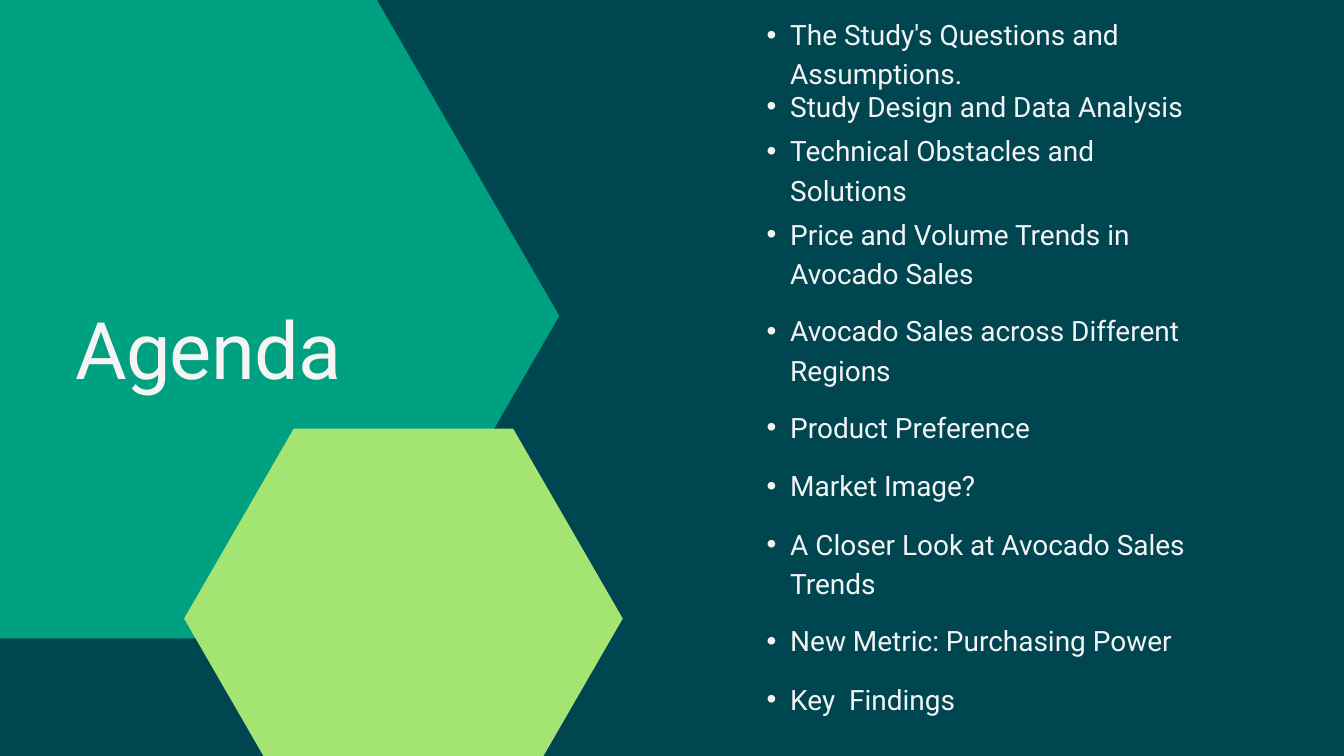
import math

import pptx
import pptx.dml.color
import pptx.enum.text
import pptx.oxml
import pptx.oxml.ns
import pptx.util

Cm = pptx.util.Cm
Pt = pptx.util.Pt
RGBColor = pptx.dml.color.RGBColor

NIGHT = RGBColor(0x00, 0x46, 0x51)
TEAL = RGBColor(0x00, 0xA1, 0x81)
LIME = RGBColor(0xA4, 0xE4, 0x73)
WHITE = RGBColor(0xF4, 0xF4, 0xF4)

# Content: centre x, centre y, radius (cm), colour
HEXAGONS = [
    (7.06, 11.94, 14.08, TEAL),
    (15.25, 23.38, 8.29, LIME),
]
TITLE = "Agenda"
# Text, number of lines, gap above (cm)
TOPICS = [
    ("The Study's Questions and Assumptions.", 2, 0.46),
    ("Study Design and Data Analysis", 1, -0.13),
    ("Technical Obstacles and Solutions", 2, 0.28),
    ("Price and Volume Trends in Avocado Sales", 2, 0.31),
    ("Avocado Sales across Different Regions", 2, 0.81),
    ("Product Preference", 1, 0.81),
    ("Market Image?", 1, 0.81),
    ("A Closer Look at Avocado Sales Trends", 2, 0.81),
    ("New Metric: Purchasing Power", 1, 0.81),
    ("Key  Findings", 1, 0.81),
]
TOPIC_HEIGHTS = {1: 1.4, 2: 2.84}

FRAME_FORMAT = {
    "margin_left": 0,
    "margin_top": 0,
    "margin_right": 0,
    "margin_bottom": 0,
    "word_wrap": True,
    "auto_size": pptx.enum.text.MSO_AUTO_SIZE.SHAPE_TO_FIT_TEXT,
}


def apply_format(target, values):
    for name, value in values.items():
        setattr(target, name, value)


def add_hexagon(page, center_x, center_y, radius, color):
    corners = [
        (Cm(center_x + radius * math.cos(math.radians(angle))),
         Cm(center_y + radius * math.sin(math.radians(angle))))
        for angle in range(0, 360, 60)
    ]
    builder = page.shapes.build_freeform(*corners[0])
    builder.add_line_segments(corners[1:], close=True)
    hexagon = builder.convert_to_shape()
    hexagon.shadow.inherit = False
    hexagon.fill.solid()
    hexagon.fill.fore_color.rgb = color
    hexagon.line.fill.background()


def add_text(page, text, left, top, width, height, size, spacing):
    box = page.shapes.add_textbox(Cm(left), Cm(top), Cm(width), Cm(height))
    apply_format(box.text_frame, FRAME_FORMAT)
    para = box.text_frame.paragraphs[0]
    para.line_spacing = Pt(spacing)
    span = para.add_run()
    span.text = text
    apply_format(span.font, {"name": "Roboto", "size": Pt(size)})
    span.font.color.rgb = WHITE
    return para, span


def add_bullet(para):
    para.level = 1
    properties = para._p.get_or_add_pPr()
    properties.set("marL", str(Cm(1.8)))
    properties.set("indent", str(Cm(-0.89)))
    namespace = pptx.oxml.ns.nsdecls("a")
    for tag in ('a:buFont {} typeface="Arial"', 'a:buChar {} char="•"'):
        properties.append(pptx.oxml.parse_xml(f"<{tag.format(namespace)}/>"))


def main():
    deck = pptx.Presentation()
    apply_format(deck, {"slide_width": Cm(50.8), "slide_height": Cm(28.575)})
    page = deck.slides.add_slide(deck.slide_layouts[6])
    page.background.fill.solid()
    page.background.fill.fore_color.rgb = NIGHT

    # Hexagons
    for hexagon in HEXAGONS:
        add_hexagon(page, *hexagon)

    # Title, slightly tightened
    para, span = add_text(page, TITLE, 2.84, 11.33, 12.4, 3.58, 85, 102)
    span.font._element.set("spc", "-80")

    # Topics, stacked from the top
    top = 0
    for text, lines, gap in TOPICS:
        top += gap
        height = TOPIC_HEIGHTS[lines]
        para, span = add_text(page, text, 28.07, top, 16.97, height, 30, 42)
        add_bullet(para)
        top += height

    deck.save("out.pptx")


if __name__ == "__main__":
    main()
